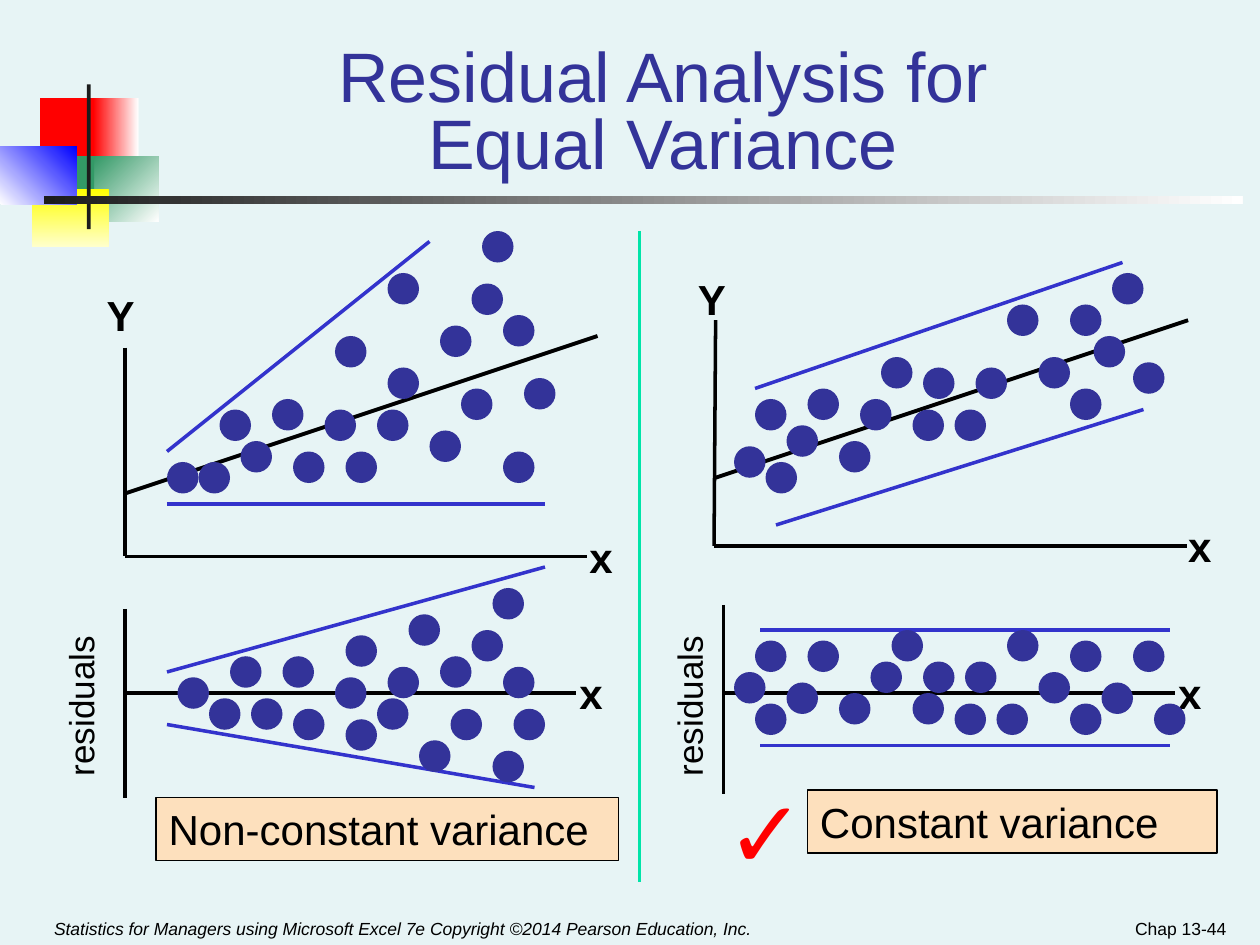
from dataclasses import dataclass

from lxml import etree
from pptx import Presentation
from pptx import util as u
from pptx.dml.color import RGBColor
from pptx.enum import shapes, text
from pptx.oxml.ns import qn


@dataclass(frozen=True)
class Theme:
    font: str = "Arial"
    background: str = "E7F4F5"
    ink: str = "000000"
    title: str = "333399"
    dot: str = "333399"
    band: str = "3333CC"
    divider: str = "00E4A8"
    caption: str = "FDE0BD"
    check: str = "FF0000"
    dark: str = "1C1C1C"
    title_size: int = 40
    check_size: int = 54
    label_size: int = 24
    residual_size: int = 20
    footer_size: int = 10


THEME = Theme()
STEP = 2.54 / 12   # plotting grid pitch in cm
LEFT = 2.52        # grid column 0 in cm
DOT = 3 * STEP


def rgb(value):
    return RGBColor.from_string(value)


def grid(col, row):
    return u.Cm(LEFT + col * STEP), u.Cm(row * STEP)


def write(sp, content, size, color=THEME.ink, bold=False, italic=False,
          align=text.PP_ALIGN.LEFT, anchor=text.MSO_ANCHOR.TOP,
          spacing=None, wrap=True):
    tf = sp.text_frame
    tf.word_wrap = wrap
    tf.vertical_anchor = anchor
    p = tf.paragraphs[0]
    p.text = content
    p.alignment = align
    if spacing:
        p.line_spacing = spacing
    for r in p.runs:
        f = r.font
        f.name, f.size, f.bold, f.italic = THEME.font, u.Pt(size), bold, italic
        f.color.rgb = rgb(color)


class Deck:
    def __init__(self, theme):
        self.theme = theme
        self.prs = Presentation()
        self.prs.slide_width, self.prs.slide_height = u.Cm(25.4), u.Cm(19.05)
        self.s = self.prs.slides.add_slide(self.prs.slide_layouts[6])
        fill = self.s.background.fill
        fill.solid()
        fill.fore_color.rgb = rgb(theme.background)

    def shape(self, kind, x, y, w, h, color, outline=None):
        sp = self.s.shapes.add_shape(kind, u.Cm(x), u.Cm(y), u.Cm(w), u.Cm(h))
        sp.shadow.inherit = False
        sp.fill.solid()
        sp.fill.fore_color.rgb = rgb(color)
        if outline:
            sp.line.color.rgb = rgb(outline)
            sp.line.width = u.Pt(1)
        else:
            sp.line.fill.background()
        return sp

    def rect(self, x, y, w, h, color, fade_to=None, angle=0):
        """Rectangle, optionally fading to a second colour (angle anticlockwise)."""
        sp = self.shape(shapes.MSO_SHAPE.RECTANGLE, x, y, w, h, color)
        if fade_to:
            sp.fill.gradient()
            sp.fill.gradient_angle = angle
            for stop, value, position in zip(
                    sp.fill.gradient_stops, (color, fade_to), (0, 1)):
                stop.color.rgb = rgb(value)
                stop.position = position

    def text(self, content, x, y, w, h, size, rotation=0, **fmt):
        sp = self.s.shapes.add_textbox(u.Cm(x), u.Cm(y), u.Cm(w), u.Cm(h))
        sp.rotation = rotation
        write(sp, content, size, **fmt)

    def caption(self, content, x, y, w):
        sp = self.shape(shapes.MSO_SHAPE.RECTANGLE, x, y, w, 1.27,
                        self.theme.caption, self.theme.ink)
        write(sp, content, self.theme.label_size)

    def line(self, start, end, color, width=2.0):
        """Straight line between two grid points."""
        cx = self.s.shapes.add_connector(
            shapes.MSO_CONNECTOR.STRAIGHT, *grid(*start), *grid(*end))
        cx.line.color.rgb = rgb(color)
        cx.line.width = u.Pt(width)
        etree.SubElement(cx._element.spPr, qn("a:effectLst"))

    def plot(self, axes, bands, dots, x_label, trend=None):
        """Chart panel in grid units; dots are given by their top left corner."""
        for ends in axes:
            self.line(*ends, self.theme.ink)
        if trend:
            self.line(*trend, self.theme.ink, 2.25)
        for ends in bands:
            self.line(*ends, self.theme.band)
        self.text("x", *x_label, 1.3, 1.27, self.theme.label_size, bold=True)
        for col, row in dots:
            self.shape(shapes.MSO_SHAPE.OVAL, LEFT + col * STEP, row * STEP,
                       DOT, DOT, self.theme.dot)


DECORATION = [
    (0.81, 1.98, 1.22, 1.32, "FF0000"),
    (1.88, 1.98, 0.91, 1.32, "FF0000", "FFFFFF"),
    (1.9, 3.15, 1.3, 1.32, "339966", "FFFFFF", 315),
    (1.09, 3.15, 0.81, 1.32, "339966"),
    (0.64, 3.81, 1.55, 1.17, "FFFF00", "FFFFCC", 270),
    (0, 2.95, 1.55, 1.17, "FFFFFF", "0000FF", 45),
    (1.75, 1.7, 0.08, 2.92, THEME.dark),
    (0.89, 3.96, 24.16, 0.15, THEME.dark, "FFFFFF"),
]

PLOTS = [
    dict(  # Y against x, spreading out
        axes=[((0, 33.1), (0, 53)), ((0, 53), (44, 53))],
        trend=((0, 47), (45, 32)),
        bands=[((4, 43), (29, 23)), ((4, 48), (40, 48))],
        x_label=(11.63, 10.59),
        dots=[(4, 44), (9, 39), (25, 26), (29, 41), (33, 27), (14, 38), (32, 37),
              (36, 43), (34, 22), (36, 30), (30, 31), (21, 43), (25, 35), (20, 32),
              (7, 44), (11, 42), (16, 43), (24, 39), (38, 36), (19, 39)]),
    dict(  # residuals, spreading out
        axes=[((0, 58), (0, 76)), ((0, 66), (43, 66))],
        bands=[((4, 64), (40, 54)), ((4, 69), (39, 75))],
        x_label=(11.43, 13.34),
        dots=[(5, 64.5), (21, 60.5), (8, 66.5), (10, 62.5), (15, 62.5), (16, 67.5),
              (20, 64.5), (12, 66.5), (37, 67.5), (28, 70.5), (30, 62.5), (27, 58.5),
              (25, 63.5), (24, 66.5), (21, 68.5), (33, 60), (36, 63.5), (35, 56),
              (35, 71.5), (31, 67.5)]),
    dict(  # Y against x, even spread
        axes=[((56.25, 30.5), (56.1, 52)), ((56.1, 52), (101.1, 52))],
        trend=((56.25, 45.5), (101.25, 30.5)),
        bands=[((60, 37), (95, 25)), ((62, 50), (97, 39))],
        x_label=(23.7, 10.36),
        dots=[(58, 42.5), (60, 38), (81, 35), (90, 29), (65, 37), (87, 34), (90, 37),
              (92.25, 32), (84, 29), (75, 39), (76, 35), (72, 34), (61, 44),
              (63, 40.5), (68, 42), (79, 39), (96, 34.5), (70, 38), (94, 26)]),
    dict(  # residuals, even spread
        axes=[((57, 57.6), (57, 75.6)), ((57, 66), (100, 66))],
        bands=[((60.5, 60), (99.5, 60)), ((60.5, 71), (99.5, 71))],
        x_label=(23.5, 13.34),
        dots=[(60, 61), (68, 66), (63, 65), (65, 61), (58, 64), (60, 67), (84, 60),
              (71, 63), (73, 60), (76, 63), (79, 67), (75, 66), (90, 61), (80, 63),
              (83, 67), (90, 67), (87, 64), (96, 61), (93, 65), (98, 67)]),
]


def main():
    t = THEME
    deck = Deck(t)
    bottom = text.MSO_ANCHOR.BOTTOM
    for block in DECORATION:
        deck.rect(*block)
    deck.text("Statistics for Managers using Microsoft Excel 7e "
              "Copyright ©2014 Pearson Education, Inc.",
              0.84, 17.98, 14.81, 1.07, t.footer_size, italic=True, anchor=bottom)
    deck.text("Chap 13-44", 19.05, 18.16, 5.92, 0.89, t.footer_size,
              align=text.PP_ALIGN.RIGHT, anchor=bottom)
    deck.text("Residual Analysis for \vEqual Variance ", 2.74, 0.84, 21.64, 2.97,
              t.title_size, color=t.title, align=text.PP_ALIGN.CENTER,
              anchor=bottom, spacing=0.8)

    deck.caption("Non-constant variance", 3.15, 16.08, 9.32)
    deck.caption("Constant variance", 16.28, 15.93, 8.26)
    deck.text("✓", 14.4, 15.47, 2.54, 2.54, t.check_size, color=t.check)

    for panel in PLOTS:
        deck.plot(**panel)
    for x, y in ((1.9, 5.72), (13.82, 5.38)):
        deck.text("Y", x, y, 1.07, 1.27, t.label_size, bold=True, wrap=False)
    for x in (-0.2, 12.07):
        deck.text("residuals", x, 13.54, 3.63, 1.09, t.residual_size, rotation=270)
    deck.line((49, 22), (49, 84), t.divider, 2.25)
    deck.prs.save("out.pptx")


if __name__ == "__main__":
    main()
